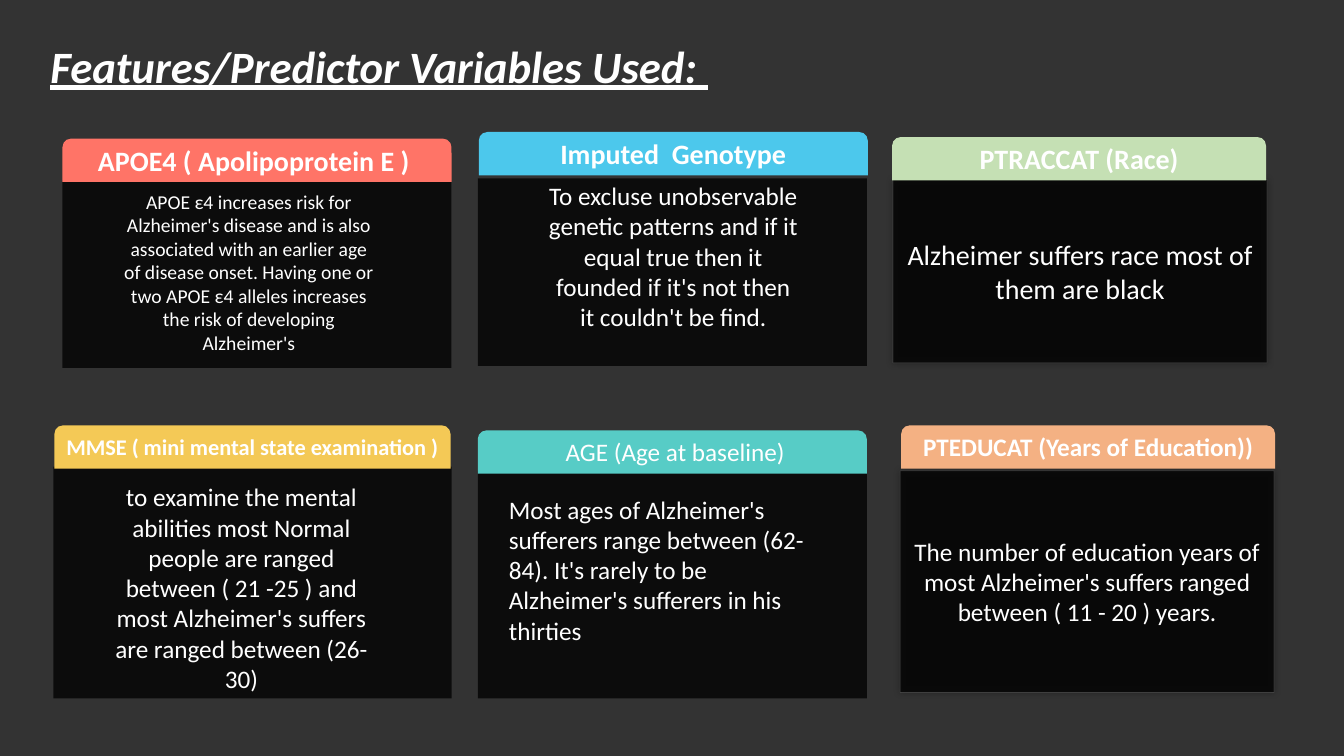
import pptx
import pptx.dml.color
import pptx.enum.shapes
import pptx.enum.text
import pptx.oxml
import pptx.oxml.ns
import pptx.util

SHAPE = pptx.enum.shapes.MSO_SHAPE
ALIGN = pptx.enum.text.PP_ALIGN
ANCHOR = pptx.enum.text.MSO_ANCHOR
SHADOW = (
    f'<a:effectLst {pptx.oxml.ns.nsdecls("a")}>'
    '<a:outerShdw blurRad="63500" dist="0" dir="0" algn="ctr" rotWithShape="0">'
    '<a:srgbClr val="000000"><a:alpha val="40000"/></a:srgbClr>'
    '</a:outerShdw></a:effectLst>'
)


def paint(fill, colour):
    fill.solid()
    fill.fore_color.rgb = pptx.dml.color.RGBColor.from_string(colour)


def write(frame, text, size=18, bold=False, italic=False, underline=False,
          align=ALIGN.CENTER, anchor=ANCHOR.TOP, colour="FFFFFF", font="Calibri"):
    frame.word_wrap = True
    frame.auto_size = pptx.enum.text.MSO_AUTO_SIZE.NONE
    frame.vertical_anchor = anchor
    paragraph = frame.paragraphs[0]
    paragraph.alignment = align
    run = paragraph.add_run()
    run.text = text
    run.font.name = font
    run.font.size = pptx.util.Pt(size)
    run.font.bold, run.font.italic, run.font.underline = bold, italic, underline
    paint(run.font.fill, colour)


class Deck:
    columns, rows = 133.33, 75
    background, panel_colour, edge_colour = "333333", "000000", "FFFFFF"
    panel_alpha, edge_alpha = 75, 15
    header_rows, header_corner = 4.3, 0.2

    def __init__(self):
        self.presentation = pptx.Presentation()
        self.presentation.slide_width = pptx.util.Inches(13.33)
        self.presentation.slide_height = pptx.util.Inches(7.5)
        self.slide = self.presentation.slides.add_slide(self.presentation.slide_layouts[5])
        paint(self.slide.background.fill, self.background)

    def place(self, column, row, width, height):
        across = self.presentation.slide_width / self.columns
        down = self.presentation.slide_height / self.rows
        return [round(length) for length in
                (column * across, row * down, width * across, height * down)]

    def title(self, text, *cells):
        shape = self.slide.shapes.title
        shape.left, shape.top, shape.width, shape.height = self.place(*cells)
        write(shape.text_frame, text, size=32, bold=True, italic=True,
              underline=True, align=ALIGN.LEFT)

    def shape(self, kind, colour, *cells):
        shape = self.slide.shapes.add_shape(kind, *self.place(*cells))
        shape.shadow.inherit = False
        paint(shape.fill, colour)
        shape.line.fill.background()
        return shape

    def fade(self, shape, query, percent):
        colour = shape.element.spPr.xpath(query)[0]
        alpha = colour.makeelement(pptx.oxml.ns.qn("a:alpha"), {"val": str(percent * 1000)})
        colour.append(alpha)

    def panel(self, *cells, raised=False):
        shape = self.shape(SHAPE.RECTANGLE, self.panel_colour, *cells)
        self.fade(shape, "a:solidFill/a:srgbClr", self.panel_alpha)
        if raised:
            paint(shape.line.fill, self.edge_colour)
            shape.line.width = pptx.util.Pt(0.5)
            self.fade(shape, "a:ln/a:solidFill/a:srgbClr", self.edge_alpha)
            properties = shape.element.spPr
            properties.replace(properties.find(pptx.oxml.ns.qn("a:effectLst")),
                               pptx.oxml.parse_xml(SHADOW))
        return shape

    def header(self, text, colour, column, row, width, **style):
        shape = self.shape(SHAPE.ROUND_2_SAME_RECTANGLE, colour,
                           column, row, width, self.header_rows)
        shape.adjustments[0] = self.header_corner
        frame = shape.text_frame
        frame.margin_left = frame.margin_right = 0
        frame.margin_top = pptx.util.Inches(0.02)
        frame.margin_bottom = pptx.util.Inches(0.05)
        write(frame, text, anchor=ANCHOR.MIDDLE, **style)

    def note(self, text, *cells, **style):
        box = self.slide.shapes.add_textbox(*self.place(*cells))
        write(box.text_frame, text, **style)

    def card(self, heading, colour, top, heading_style, panel, text, note=None, **style):
        raised = note is None
        shape = self.panel(*panel, raised=raised)
        if raised:
            write(shape.text_frame, text, anchor=ANCHOR.MIDDLE, **style)
        else:
            self.note(text, *note, **style)
        self.header(heading, colour, *top, **heading_style)


LARGE = dict(size=20, bold=True)
SMALL = dict(size=16, bold=True)
MEDIUM = dict(size=18, bold=True)
PLAIN = dict(size=18)

deck = Deck()
deck.title("Features/Predictor Variables Used:\u00a0", 4, 3.3, 85.2, 6.4)
deck.card("APOE4 ( Apolipoprotein E ) ", "FF7467", (6.2, 13.75, 38.6), LARGE,
          (6.2, 17.9, 38.6, 18.6),
          "APOE ε4 increases risk for Alzheimer's disease and is also associated with an "
          "earlier age of disease onset. Having one or two APOE ε4 alleles increases the "
          "risk of developing Alzheimer's", (11.2, 18.3, 27, 17.9), size=14)
deck.card("Imputed  Genotype", "4CC8EC", (47.5, 13.1, 38.6), LARGE,
          (47.4, 17.7, 38.6, 18.6),
          "To excluse unobservable genetic patterns and if it equal true then it founded "
          "if it's not then it couldn't be find.", (53.3, 17.4, 27, 19.2))
deck.card("PTRACCAT (Race)", "C5E0B4", (88.5, 13.6, 37.1), LARGE,
          (88.6, 17.8, 37.1, 18.2),
          "Alzheimer suffers race most of them are black", size=20)
deck.card("MMSE ( mini mental state examination )", "F4C956", (5.4, 42.2, 39.3), SMALL,
          (5.3, 46.3, 39.5, 23),
          "to examine the mental abilities most Normal people are ranged between "
          "( 21 -25 ) and most Alzheimer's suffers are ranged between (26-30)",
          (9.5, 47.3, 28.9, 25.2))
deck.card(" AGE (Age at baseline)", "57CCC6", (47.4, 42.7, 38.6), PLAIN,
          (47.4, 46.7, 38.6, 22.6),
          "Most ages of Alzheimer's sufferers range between (62-84). It's rarely to be "
          "Alzheimer's sufferers in his thirties", (49.5, 48.5, 33.5, 16.2),
          align=ALIGN.LEFT)
deck.card(" PTEDUCAT (Years of Education)) ", "F4B183", (89.4, 42.2, 37.1), MEDIUM,
          (89.3, 46.7, 37.1, 22),
          "The number of education years of most Alzheimer's suffers ranged between "
          "( 11 - 20 ) years.")
deck.presentation.save("out.pptx")
